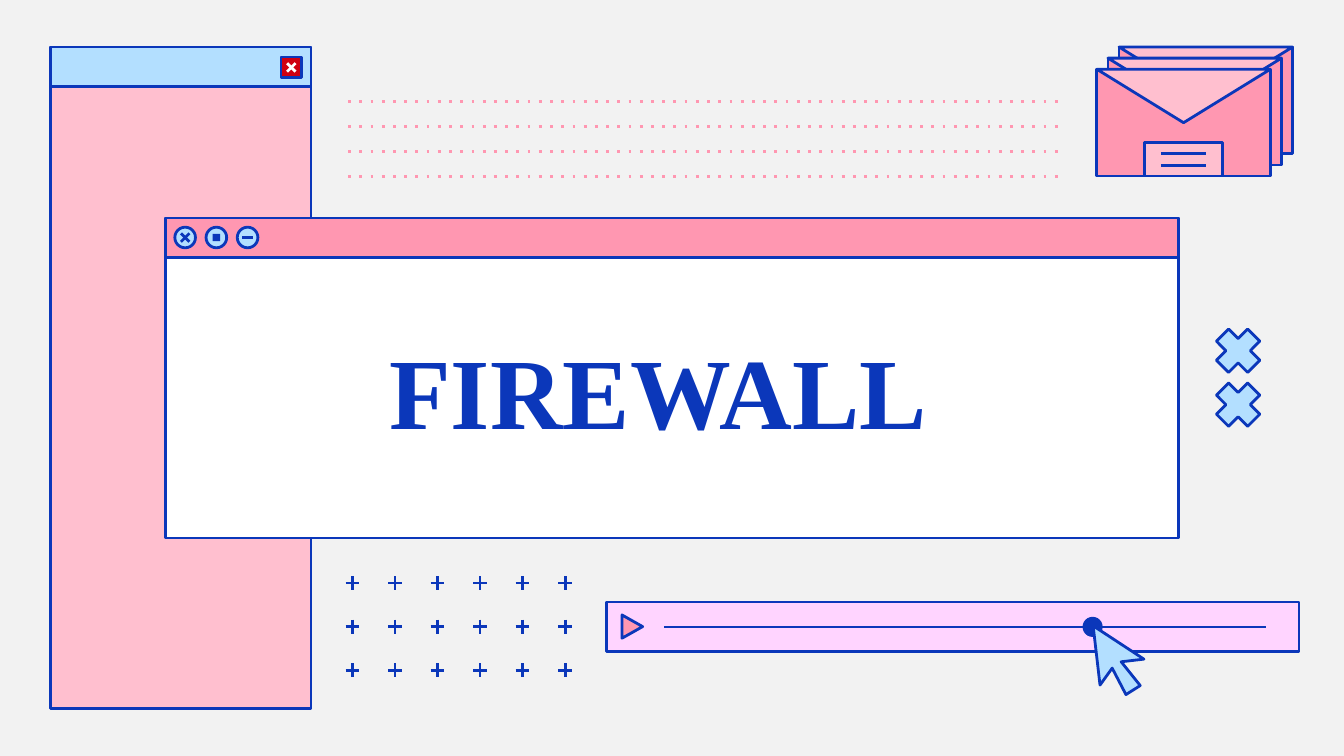
import pptx
import pptx.util
import pptx.dml.color
import pptx.enum.dml
import pptx.enum.shapes
import pptx.enum.text
from pptx.oxml.ns import qn
from lxml import etree

Cm, Pt = pptx.util.Cm, pptx.util.Pt
KIND = pptx.enum.shapes.MSO_SHAPE
HUES = {
    "back": "F2F2F2", "ink": "0B37BA", "rose": "FF97B1", "blush": "FFBFCF",
    "sky": "B3DFFF", "lilac": "FFD4FF", "red": "CF0011", "white": "FFFFFF",
}


def color(name):
    return pptx.dml.color.RGBColor.from_string(HUES[name])


def paint(shape, fill, edge="ink"):
    """Give a shape its fill and outline; no edge means no outline."""
    shape.shadow.inherit = False
    shape.fill.solid()
    shape.fill.fore_color.rgb = color(fill)
    if edge:
        shape.line.color.rgb = color(edge)
        shape.line.width = Pt(1.5)
    else:
        shape.line.fill.background()
    return shape


def block(slide, kind, x, y, w, h, fill, edge="ink"):
    shape = slide.shapes.add_shape(kind, Cm(x), Cm(y), Cm(w), Cm(h))
    return paint(shape, fill, edge)


def poly(slide, x, y, dots, fill):
    """Draw a closed outline whose points are relative to x, y."""
    dots = [(Cm(x + dx), Cm(y + dy)) for dx, dy in dots]
    pen = slide.shapes.build_freeform(*dots[0])
    pen.add_line_segments(dots[1:], close=True)
    return paint(pen.convert_to_shape(), fill)


def rule(slide, x1, y1, x2, y2, hue="ink", dotted=False):
    line = slide.shapes.add_connector(
        pptx.enum.shapes.MSO_CONNECTOR.STRAIGHT, Cm(x1), Cm(y1), Cm(x2), Cm(y2))
    line.line.color.rgb = color(hue)
    line.line.width = Pt(1.5)
    props = line._element.spPr
    if dotted:
        line.line.dash_style = pptx.enum.dml.MSO_LINE.ROUND_DOT
        next(props.iter(qn("a:prstDash"))).set("val", "dot")
    etree.SubElement(props, qn("a:effectLst"))


def ex(slide, x, y, arm, hue):
    """Draw a small x centred on x, y."""
    for side in (arm, -arm):
        rule(slide, x - arm, y - side, x + arm, y + side, hue)


def write(frame, text, font, size, hue, bold=False):
    para = frame.paragraphs[0]
    para.alignment = pptx.enum.text.PP_ALIGN.LEFT
    run = para.add_run()
    run.text = text
    run.font.name = font
    run.font.size = Pt(size)
    run.font.bold = bold
    run.font.color.rgb = color(hue)


def panel(slide, x, y, w, h):
    block(slide, KIND.RECTANGLE, x, y, w, h, "blush")
    block(slide, KIND.RECTANGLE, x, y, w, 0.75, "sky")
    size = 0.39
    left, top = x + w - 0.18 - size, y + 0.19
    block(slide, KIND.RECTANGLE, left, top, size, size, "red")
    ex(slide, left + size / 2, top + size / 2, 0.08, "white")


def letter(slide, x, y, w, h):
    block(slide, KIND.RECTANGLE, x, y, w, h, "rose")
    poly(slide, x, y, [(0, 0), (w / 2, h / 2), (w, 0)], "blush")


def label(slide, x, y, w, h):
    block(slide, KIND.RECTANGLE, x, y, w, h, "blush")
    for row in (0.21, 0.44):
        rule(slide, x + 0.31, y + row, x + 1.16, y + row)


def mail(slide, x, y, w, h, count=3, step=0.21):
    """Stack letters from the back; only the front one shows its label."""
    for i in range(count):
        left, top = x - i * step, y + i * step
        letter(slide, left, top, w, h)
    label(slide, left + 0.9, top + 1.38, 1.48, h - 1.38)


def pluses(slide, x, y, w, h, cols=6, rows=3, arm=0.13):
    for row in range(rows):
        for col in range(cols):
            cx, cy = x + col * w / (cols - 1), y + row * h / (rows - 1)
            rule(slide, cx - arm, cy, cx + arm, cy)
            rule(slide, cx, cy - arm, cx, cy + arm)


def crosses(slide, x, y, count=2, size=0.82):
    dots = [(0.23, 0), (0, 0.23), (0.18, size / 2)]
    for _ in range(3):
        dots += [(dy, size - dx) for dx, dy in dots[-3:]]
    for i in range(count):
        poly(slide, x, y + i * 1.02, dots, "sky")


def dotted(slide, x, y, w, rows=4):
    for i in range(rows):
        top = y + i * 0.47
        rule(slide, x, top, x + w, top, "rose", dotted=True)


def player(slide, x, y, w, h):
    mid = y + h / 2
    block(slide, KIND.RECTANGLE, x, y, w, h, "lilac")
    play = block(slide, KIND.ISOSCELES_TRIANGLE, x + 0.27, mid - 0.2, 0.44, 0.39, "rose")
    play.rotation = 90
    rule(slide, x + 1.09, mid, x + w - 0.63, mid)
    block(slide, KIND.OVAL, x + 9, mid - 0.19, 0.38, 0.38, "ink", None)
    arrow = [(0, 0), (0.13, 1.12), (0.36, 0.8), (0.62, 1.3),
             (0.89, 1.13), (0.53, 0.68), (0.96, 0.63)]
    poly(slide, x + 9.2, mid - 0.02, arrow, "sky")


def window(slide, x, y, w, h):
    block(slide, KIND.RECTANGLE, x, y, w, h, "white")
    block(slide, KIND.RECTANGLE, x, y, w, 0.75, "rose")
    size, mid = 0.39, y + 0.37
    spots = [x + 0.37 + i * 0.59 for i in range(3)]
    for cx in spots:
        block(slide, KIND.OVAL, cx - size / 2, mid - size / 2, size, size, "sky")
    ex(slide, spots[0], mid, 0.08, "ink")
    block(slide, KIND.RECTANGLE, spots[1] - 0.07, mid - 0.07, 0.14, 0.14, "ink", None)
    rule(slide, spots[2] - 0.1, mid, spots[2] + 0.1, mid)


def heading(slide, x, y, w, h):
    title = slide.shapes.title
    title.left, title.top, title.width, title.height = Cm(x), Cm(y), Cm(w), Cm(h)
    slide.shapes._spTree.append(title._element)  # bring to front
    frame = title.text_frame
    frame.word_wrap = True
    frame.auto_size = pptx.enum.text.MSO_AUTO_SIZE.NONE
    frame.vertical_anchor = pptx.enum.text.MSO_ANCHOR.MIDDLE
    frame.margin_left, frame.margin_right = Cm(1.82), Cm(0.25)
    frame.margin_top, frame.margin_bottom = Cm(0.54), Cm(0.25)
    write(frame, "FIREWALL", font="Times New Roman", size=54, hue="ink", bold=True)


def main():
    deck = pptx.Presentation()
    deck.slide_width, deck.slide_height = Cm(25.4), Cm(14.29)
    slide = deck.slides.add_slide(deck.slide_layouts[5])
    slide.background.fill.solid()
    slide.background.fill.fore_color.rgb = color("back")
    panel(slide, 0.95, 0.89, 4.93, 12.5)
    mail(slide, 21.15, 0.89, 3.28, 2.02)
    pluses(slide, 6.66, 11.02, 4.02, 1.65)
    crosses(slide, 22.99, 6.22)
    dotted(slide, 6.58, 1.92, 13.46)
    player(slide, 11.46, 11.38, 13.09, 0.94)
    window(slide, 3.13, 4.12, 19.15, 6.05)
    heading(slide, 5.54, 4.88, 16.71, 4.65)
    deck.save("out.pptx")


if __name__ == "__main__":
    main()
